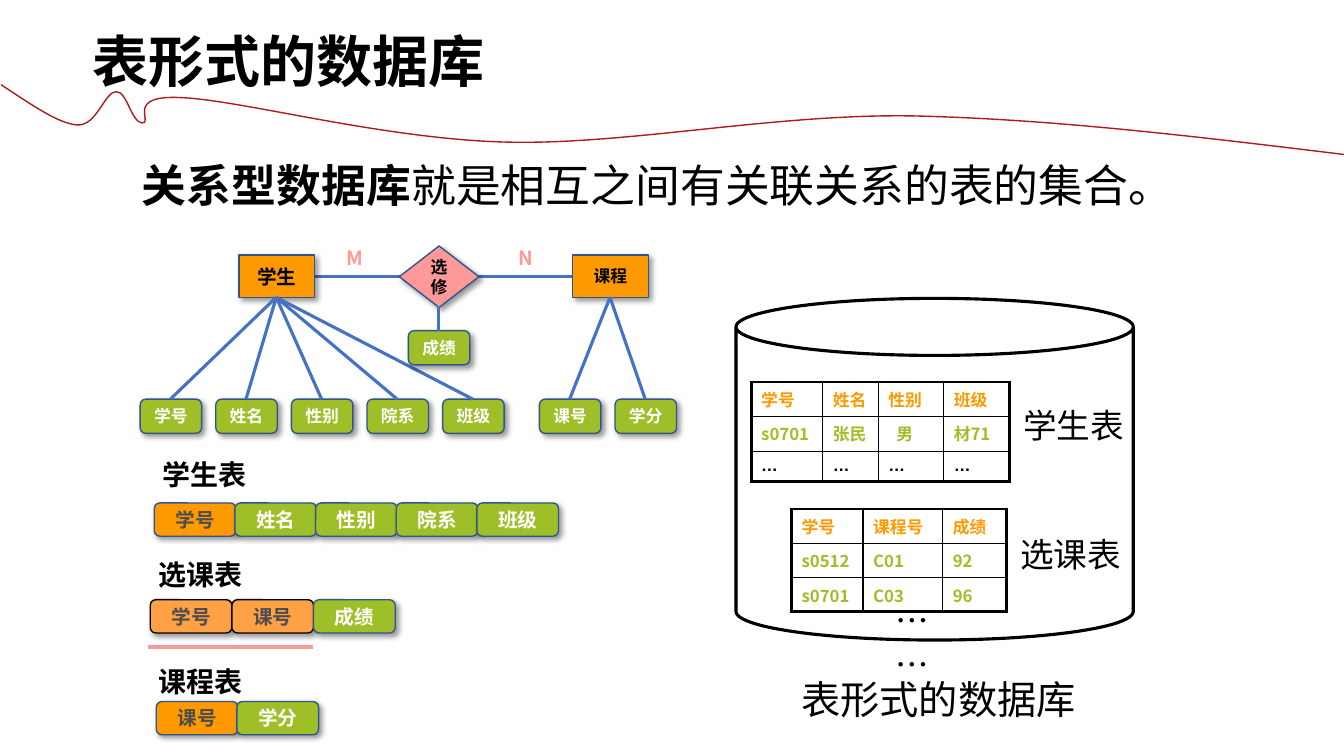
from lxml.etree import SubElement
from pptx import Presentation
from pptx.dml.color import RGBColor
from pptx.enum.shapes import MSO_CONNECTOR, MSO_SHAPE
from pptx.enum.text import MSO_ANCHOR, PP_ALIGN
from pptx.oxml.ns import qn
from pptx.util import Inches, Pt

COLORS = {
    "black": "000000", "white": "FFFFFF", "gray": "4D4D4D",
    "orange": "FF9900", "light_orange": "FFA144", "green": "9EBF27",
    "pink": "FD9998", "letter_pink": "FF9999", "blue": "4472C4",
    "outline": "325491", "wave": "AD1B1B",
}
# Hundredths of an inch: two control points and the end of each curve
WAVE_START = (1, 84)
WAVE_CURVES = [
    [(30, 103), (58, 123), (77, 124)],
    [(96, 125), (104, 91), (115, 91)],
    [(126, 90), (130, 121), (141, 122)],
    [(153, 123), (122, 93), (182, 97)],
    [(242, 100), (381, 138), (502, 141)],
    [(622, 144), (765, 113), (904, 115)],
    [(1044, 118), (1191, 136), (1339, 154)],
]


class SlidePainter:
    font_name = "Noto Sans CJK SC"

    def __init__(self, page):
        self.page = page

    def color(self, name):
        return RGBColor.from_string(COLORS[name])

    def style(self, font, size, color="black", bold=False, name=None):
        font.size, font.bold, font.name = Pt(size), bold, name or self.font_name
        font.color.rgb = self.color(color)
        SubElement(font._element, qn("a:ea"), typeface=font.name)

    def outline(self, shape, color, width):
        shape.line.color.rgb = self.color(color)
        shape.line.width = Pt(width)

    def wave(self, start, curves):
        """An open outline whose straight segments are turned into Bezier curves."""
        builder = self.page.shapes.build_freeform(*start, scale=Inches(0.01))
        builder.add_line_segments([curve[-1] for curve in curves], close=False)
        shape = builder.convert_to_shape()
        for segment, curve in zip(list(shape._element.iter(qn("a:lnTo"))), curves):
            segment.tag = qn("a:cubicBezTo")
            segment.remove(segment[0])
            for x, y in curve:
                SubElement(segment, qn("a:pt"), x=str(x - start[0]), y=str(y - start[1]))
        shape.shadow.inherit = False
        shape.fill.background()
        self.outline(shape, "wave", 1)

    def line(self, start, end, color="blue", width=2.25):
        ends = [Inches(value) for value in (*start, *end)]
        link = self.page.shapes.add_connector(MSO_CONNECTOR.STRAIGHT, *ends)
        self.outline(link, color, width)
        SubElement(link._element.spPr, qn("a:effectLst"))

    def text(self, place, words, size, bold=False, color="black", spacing=None, wrap=False):
        box = self.page.shapes.add_textbox(*map(Inches, place))
        box.text_frame.word_wrap = wrap
        para = box.text_frame.paragraphs[0]
        para.text = words
        para.line_spacing = spacing
        self.style(para.font, size, color, bold)
        return para

    def cylinder(self, place):
        shape = self.page.shapes.add_shape(MSO_SHAPE.CAN, *map(Inches, place))
        shape.adjustments[0] = 0.167
        shape.shadow.inherit = False
        shape.fill.background()
        self.outline(shape, "black", 2.25)

    def node(self, kind, place, words, fill, size=12, color="black", border="outline"):
        shape = self.page.shapes.add_shape(kind, *map(Inches, place))
        shape.fill.solid()
        shape.fill.fore_color.rgb = self.color(fill)
        self.outline(shape, border, 1)
        self.drop_shadow(shape)
        shape.text_frame.vertical_anchor = MSO_ANCHOR.MIDDLE
        para = shape.text_frame.paragraphs[0]
        para.text = words
        para.alignment = PP_ALIGN.CENTER
        self.style(para.font, size, color, True)

    def drop_shadow(self, shape):
        shape.shadow.inherit = False
        effects = shape._element.spPr.find(qn("a:effectLst"))
        shadow = SubElement(effects, qn("a:outerShdw"), blurRad=str(Pt(4)),
                            dist=str(Pt(3)), dir="2700000", algn="tl", rotWithShape="0")
        tint = SubElement(shadow, qn("a:srgbClr"), val=COLORS["black"])
        SubElement(tint, qn("a:alpha"), val="40000")

    def attributes(self, root, left, names):
        """A row of attribute nodes, each linked to its entity."""
        for index, name in enumerate(names):
            x = left + 0.75 * index
            self.node(MSO_SHAPE.ROUNDED_RECTANGLE, (x, 3.96, 0.61, 0.34),
                      name, "green", color="white")
            self.line(root, (x + 0.3, 3.96))

    def schema(self, title, title_place, left, top, names, keys=1,
               key_fill="orange", key_border="outline", pitch=0.8):
        """A table title over its fields, with the key fields first."""
        for index, name in enumerate(names):
            is_key = index < keys
            self.node(MSO_SHAPE.ROUNDED_RECTANGLE, (left + pitch * index, top, 0.81, 0.33),
                      name, key_fill if is_key else "green", 14,
                      "gray" if is_key else "white",
                      key_border if is_key else "outline")
        self.text((*title_place, 1.04, 0.44), title, 20, True)

    def table(self, left, top, widths, heights, rows):
        frame = self.page.shapes.add_table(
            len(rows), len(widths), Inches(left), Inches(top),
            Inches(sum(widths)), Inches(sum(heights)))
        table = frame.table
        table.first_row = table.horz_banding = False
        for column, width in zip(table.columns, widths):
            column.width = Inches(width)
        for r, (row, height) in enumerate(zip(rows, heights)):
            table.rows[r].height = Inches(height)
            for c, words in enumerate(row):
                cell = table.cell(r, c)
                self.borders(cell, {"L": c == 0, "R": c == len(row) - 1,
                                    "T": r == 0, "B": r == len(rows) - 1})
                cell.fill.background()
                para = cell.text_frame.paragraphs[0]
                para.text = words
                if words == "…":
                    self.style(para.font, 12, "black", True, "Arial")
                else:
                    self.style(para.font, 12, "green" if r else "orange", True)
                if words == "男":
                    cell.margin_left = Inches(0.18)

    def borders(self, cell, edges):
        """Heavy lines on outer edges, thin ones inside."""
        properties = cell._tc.get_or_add_tcPr()
        for side, is_outer in edges.items():
            edge = SubElement(properties, qn(f"a:ln{side}"), w=str(Pt(2.25 if is_outer else 1)))
            SubElement(SubElement(edge, qn("a:solidFill")), qn("a:srgbClr"), val=COLORS["black"])


def main():
    deck = Presentation()
    deck.slide_width, deck.slide_height = Inches(13.33), Inches(7.5)
    painter = SlidePainter(deck.slides.add_slide(deck.slide_layouts[6]))

    painter.wave(WAVE_START, WAVE_CURVES)
    intro = painter.text((1.31, 1.55, 10.32, 0.79), "", 32, spacing=Pt(36), wrap=True)
    intro.space_before = Pt(6)
    for words, bold in (("关系型数据库", True), ("就是相互之间有关联关系的表的集合。", False)):
        span = intro.add_run()
        span.text = words
        span.font.bold = bold

    painter.cylinder((7.3, 2.96, 3.94, 3.39))
    painter.table(7.45, 3.79, [0.71, 0.55, 0.65, 0.65], [0.34, 0.35, 0.28], [
        ["学号", "姓名", "性别", "班级"], ["s0701", "张民", "男", "材71"], ["…"] * 4])
    painter.table(7.85, 5.05, [0.71, 0.79, 0.63], [0.34] * 3, [
        ["学号", "课程号", "成绩"], ["s0512", "C01", "92"], ["s0701", "C03", "96"]])
    painter.text((10.05, 3.93, 1.21, 0.51), "学生表", 24, spacing=1.1)
    painter.text((10.02, 5.21, 1.21, 0.51), "选课表", 24, spacing=1.1)
    painter.text((7.85, 6.6, 2.95, 0.58), "表形式的数据库", 28, spacing=1.1)
    painter.text((8.78, 5.86, 0.75, 0.51), "……", 24, spacing=1.1, wrap=True)

    painter.line((5.68, 2.74), (3.12, 2.74))
    painter.node(MSO_SHAPE.RECTANGLE, (2.37, 2.53, 0.75, 0.42), "学生", "orange", 14)
    painter.node(MSO_SHAPE.RECTANGLE, (5.68, 2.53, 0.75, 0.42), "课程", "orange")
    painter.node(MSO_SHAPE.DIAMOND, (3.96, 2.44, 0.79, 0.61), "选修", "pink")
    painter.attributes((2.74, 2.95), 1.39, ["学号", "姓名", "性别", "院系", "班级"])
    painter.attributes((6.05, 2.95), 5.35, ["课号", "学分"])
    painter.node(MSO_SHAPE.ROUNDED_RECTANGLE, (4.05, 3.28, 0.61, 0.34),
                 "成绩", "green", color="white")
    painter.line((4.35, 3.04), (4.35, 3.28))
    painter.text((3.34, 2.39, 0.4, 0.34), "M", 14, True, "letter_pink")
    painter.text((5.04, 2.39, 0.37, 0.34), "N", 14, True, "letter_pink")

    painter.schema("学生表", (1.51, 4.49), 1.53, 4.99, ["学号", "姓名", "性别", "院系", "班级"])
    painter.schema("选课表", (1.47, 5.48), 1.49, 5.95, ["学号", "课号", "成绩"],
                   2, "light_orange", "black", 0.81)
    painter.line((1.47, 6.42), (3.1, 6.42), "pink", 3)
    painter.schema("课程表", (1.47, 6.54), 1.55, 6.96, ["课号", "学分"])
    painter.text((0.82, 0.21, 4.13, 0.77), "表形式的数据库", 40, True)

    deck.save("out.pptx")


if __name__ == "__main__":
    main()
